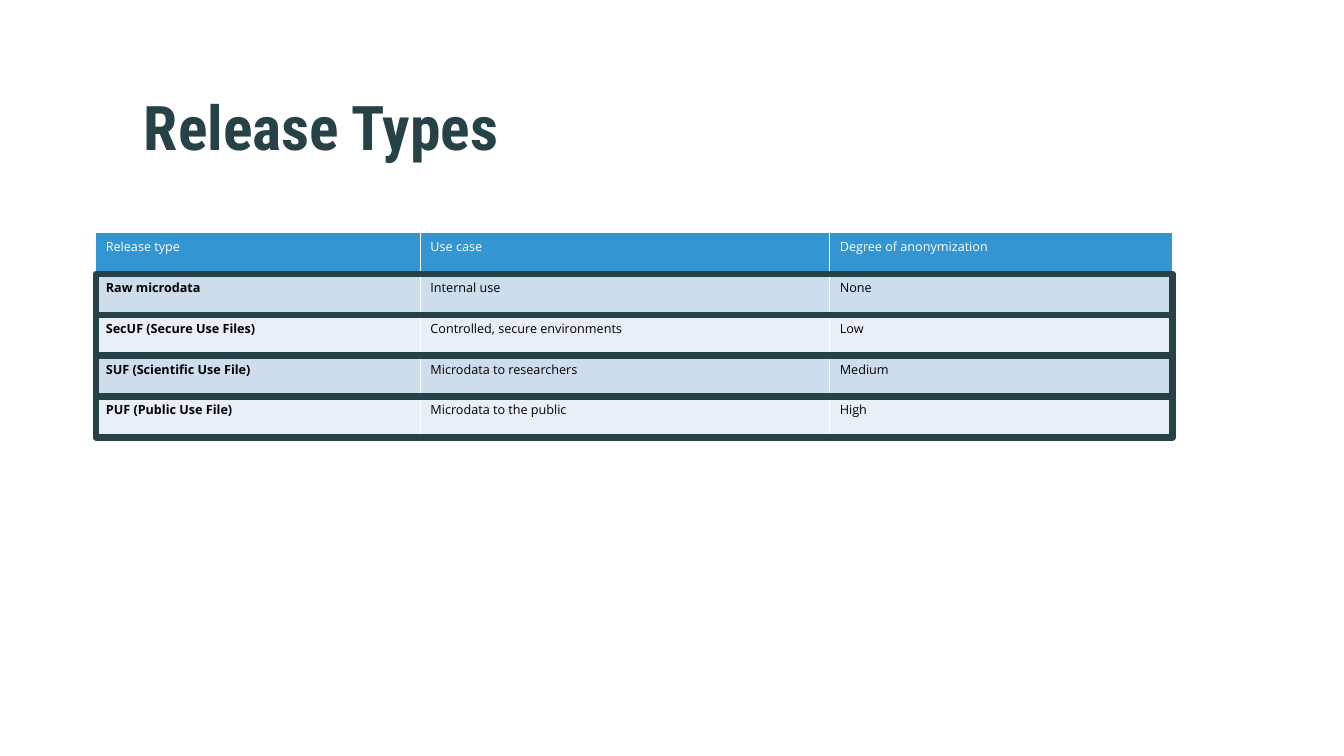
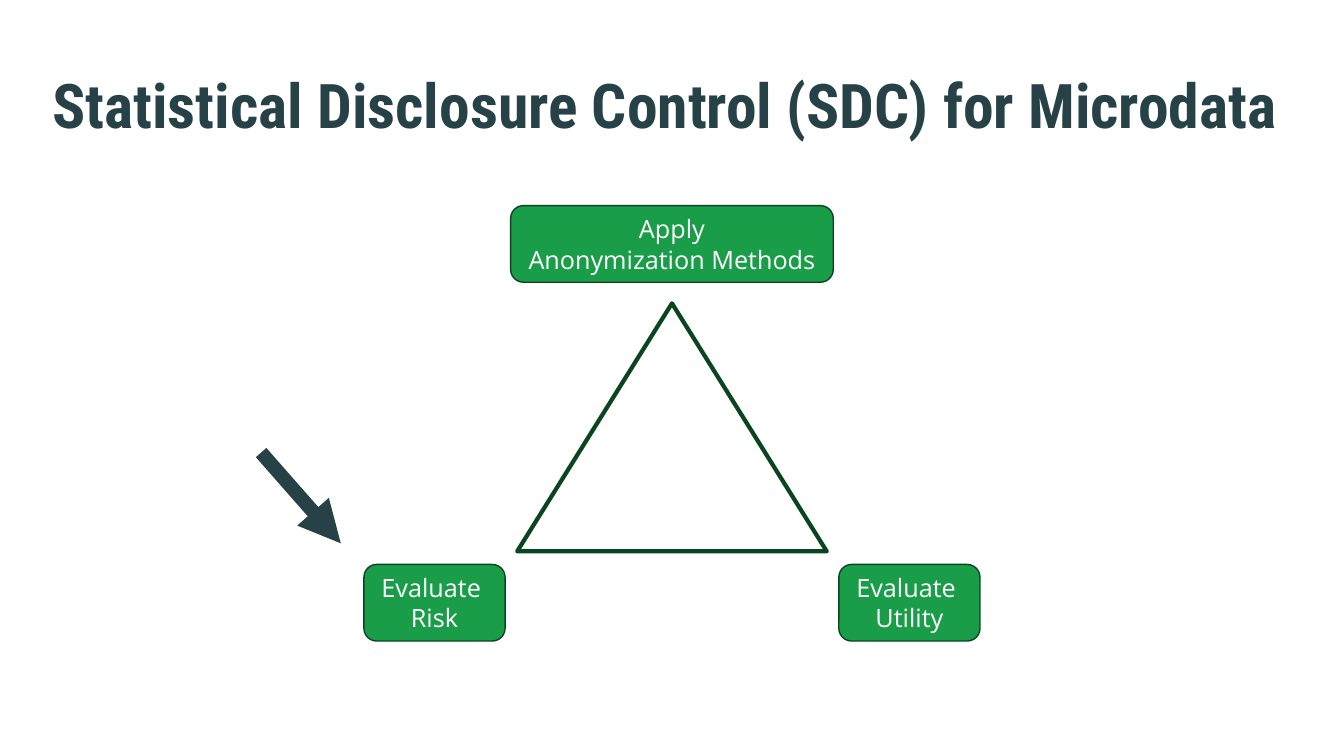
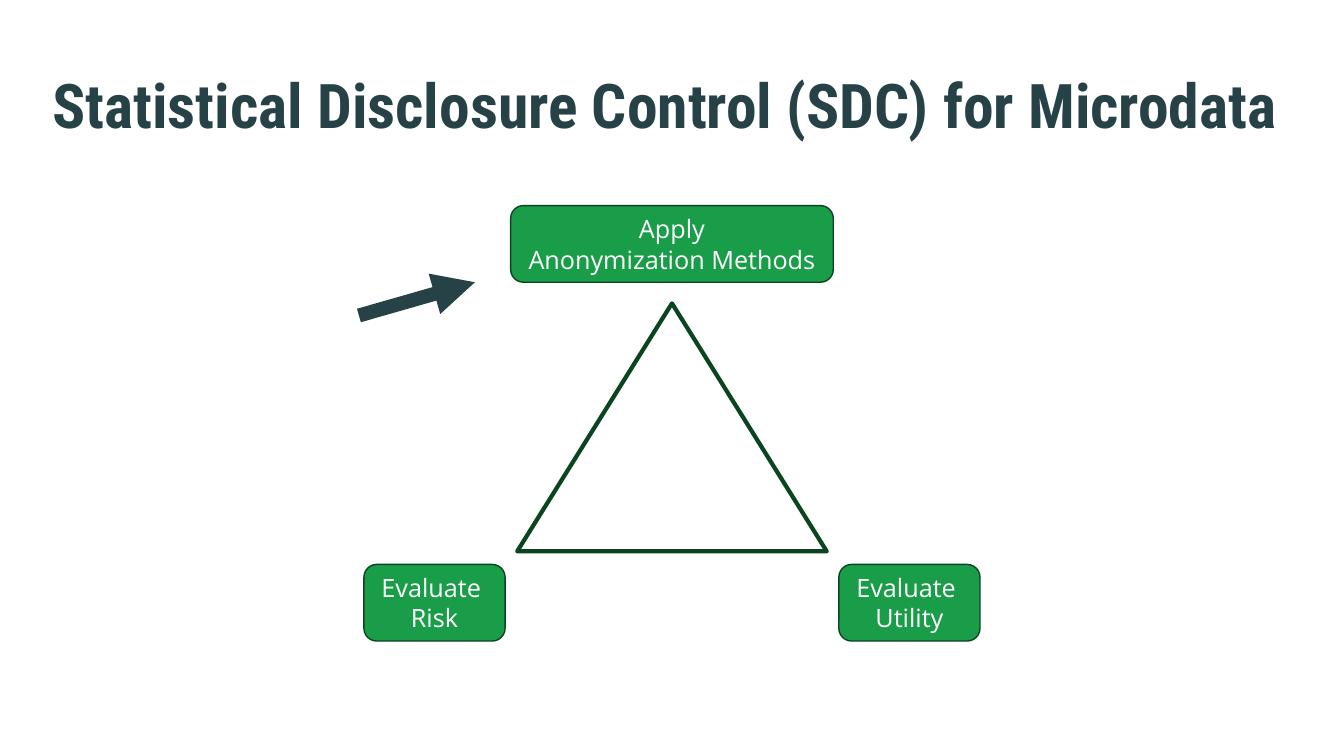
from lxml import etree
from pptx import Presentation
from pptx.dml.color import RGBColor
from pptx.enum.shapes import MSO_CONNECTOR, MSO_SHAPE
from pptx.enum.text import MSO_ANCHOR, PP_ALIGN
from pptx.oxml.ns import qn
from pptx.util import Pt

PX = 9144
SLIDE_WIDTH, SLIDE_HEIGHT = 1333, 750

SLATE = RGBColor(0x27, 0x42, 0x47)
WHITE = RGBColor(0xFF, 0xFF, 0xFF)
BLACK = RGBColor(0x00, 0x00, 0x00)
HEADER_BLUE = RGBColor(0x33, 0x96, 0xD2)
BAND_DARK = RGBColor(0xCE, 0xDD, 0xEE)
BAND_LIGHT = RGBColor(0xE8, 0xEF, 0xF7)
GREEN = RGBColor(0x1A, 0x9D, 0x49)
DARK_GREEN = RGBColor(0x0B, 0x45, 0x20)

TITLE_FONT = "Roboto Condensed"
BODY_FONT = "Open Sans"

RECTANGLE = MSO_SHAPE.RECTANGLE
ROUNDED = MSO_SHAPE.ROUNDED_RECTANGLE
TRIANGLE = MSO_SHAPE.ISOSCELES_TRIANGLE
STRAIGHT = MSO_CONNECTOR.STRAIGHT
MIDDLE = MSO_ANCHOR.MIDDLE
CENTER = PP_ALIGN.CENTER

RELEASE_COLUMNS = (322, 406, 340)
RELEASE_ROWS = (
    ("Release type", "Use case", "Degree of anonymization"),
    ("Raw microdata", "Internal use", "None"),
    ("SecUF (Secure Use Files)", "Controlled, secure environments", "Low"),
    ("SUF (Scientific Use File)", "Microdata to researchers", "Medium"),
    ("PUF (Public Use File)", "Microdata to the public", "High"),
)

CYCLE_TITLE = "Statistical Disclosure Control (SDC) for Microdata"
CYCLE_BOX = (361, 204, 611, 432)
POINTERS = (
    ((-102, 245), (-23, 335)),
    ((-5, 109), (110, 76)),
)


def px(*lengths):
    return [round(length * PX) for length in lengths]


def style_font(font, name, size, color, bold=False):
    font.name = name
    font.size = Pt(size)
    font.bold = bold
    font.color.rgb = color


def add_title(slide, box, text):
    frame = slide.shapes.add_textbox(*px(*box)).text_frame
    frame.word_wrap = True
    frame.vertical_anchor = MIDDLE
    frame.margin_top = 0
    frame.text = text
    paragraph = frame.paragraphs[0]
    paragraph.line_spacing = 0.9
    style_font(paragraph.runs[0].font, TITLE_FONT, 44, SLATE, True)


def add_outlined(slide, kind, box, line_color, line_width, fill=None):
    shape = slide.shapes.add_shape(kind, *px(*box))
    shape.shadow.inherit = False
    if fill is None:
        shape.fill.background()
    else:
        shape.fill.solid()
        shape.fill.fore_color.rgb = fill
    shape.line.color.rgb = line_color
    shape.line.width = Pt(line_width)
    return shape


def set_borders(cell, color, bottom_width):
    properties = cell._tc.get_or_add_tcPr()
    for tag, width in (("lnL", 1), ("lnR", 1), ("lnT", 1), ("lnB", bottom_width)):
        border = etree.SubElement(properties, qn(f"a:{tag}"), w=str(Pt(width)))
        fill = etree.SubElement(border, qn("a:solidFill"))
        etree.SubElement(fill, qn("a:srgbClr"), val=str(color))


def add_release_table(slide, box):
    left, top, width, height = box
    row_height = height / len(RELEASE_ROWS)
    table = slide.shapes.add_table(
        len(RELEASE_ROWS), len(RELEASE_COLUMNS), *px(*box)
    ).table
    for column, column_width in zip(table.columns, px(*RELEASE_COLUMNS)):
        column.width = column_width
    for row_index, texts in enumerate(RELEASE_ROWS):
        is_header = row_index == 0
        band = BAND_DARK if row_index % 2 else BAND_LIGHT
        table.rows[row_index].height = px(row_height)[0]
        for column_index, text in enumerate(texts):
            cell = table.cell(row_index, column_index)
            set_borders(cell, WHITE, 3 if is_header else 1)
            cell.fill.solid()
            cell.fill.fore_color.rgb = HEADER_BLUE if is_header else band
            cell.text = text
            style_font(
                cell.text_frame.paragraphs[0].runs[0].font,
                BODY_FONT,
                9,
                WHITE if is_header else BLACK,
                column_index == 0 and not is_header,
            )
    for row_index in range(1, len(RELEASE_ROWS)):
        row_box = (left, top + row_index * row_height, width, row_height)
        add_outlined(slide, RECTANGLE, row_box, SLATE, 4.5)


def add_step(slide, box, text):
    shape = add_outlined(slide, ROUNDED, box, DARK_GREEN, 1, GREEN)
    frame = shape.text_frame
    frame.word_wrap = False
    frame.vertical_anchor = MIDDLE
    frame.text = text
    for paragraph in frame.paragraphs:
        paragraph.alignment = CENTER
        style_font(paragraph.runs[0].font, BODY_FONT, 18, WHITE)


def add_cycle(slide, box):
    left, top, width, height = box
    step_height, top_width, side_width = 76, 320, 140
    triangle_width, triangle_height = 307, 246
    center = left + width / 2
    bottom_top = top + height - step_height
    steps = (
        (center - top_width / 2, top, top_width, "Apply\nAnonymization Methods"),
        (left, bottom_top, side_width, "Evaluate \nRisk"),
        (left + width - side_width, bottom_top, side_width, "Evaluate \nUtility"),
    )
    for step_left, step_top, step_width, text in steps:
        add_step(slide, (step_left, step_top, step_width, step_height), text)
    triangle_box = (
        center - triangle_width / 2, top + 97, triangle_width, triangle_height
    )
    add_outlined(slide, TRIANGLE, triangle_box, DARK_GREEN, 3)


def add_pointer(slide, box, start, end):
    left, top = box[:2]
    ends = px(left + start[0], top + start[1], left + end[0], top + end[1])
    connector = slide.shapes.add_connector(STRAIGHT, *ends)
    connector.line.color.rgb = SLATE
    connector.line.width = Pt(10)
    etree.SubElement(connector.line._get_or_add_ln(), qn("a:tailEnd"), type="triangle")
    etree.SubElement(connector._element.spPr, qn("a:effectLst"))


def build_release_slide(slide):
    add_title(slide, (133, 60, 1056, 143), "Release Types")
    add_release_table(slide, (95, 231, sum(RELEASE_COLUMNS), 203))


def build_cycle_slide(slide, start, end):
    add_title(slide, (42, 60, 1250, 101), CYCLE_TITLE)
    add_cycle(slide, CYCLE_BOX)
    add_pointer(slide, CYCLE_BOX, start, end)


def main():
    presentation = Presentation()
    presentation.slide_width, presentation.slide_height = px(SLIDE_WIDTH, SLIDE_HEIGHT)
    blank = presentation.slide_layouts[6]
    build_release_slide(presentation.slides.add_slide(blank))
    for start, end in POINTERS:
        build_cycle_slide(presentation.slides.add_slide(blank), start, end)
    presentation.save("out.pptx")


if __name__ == "__main__":
    main()
